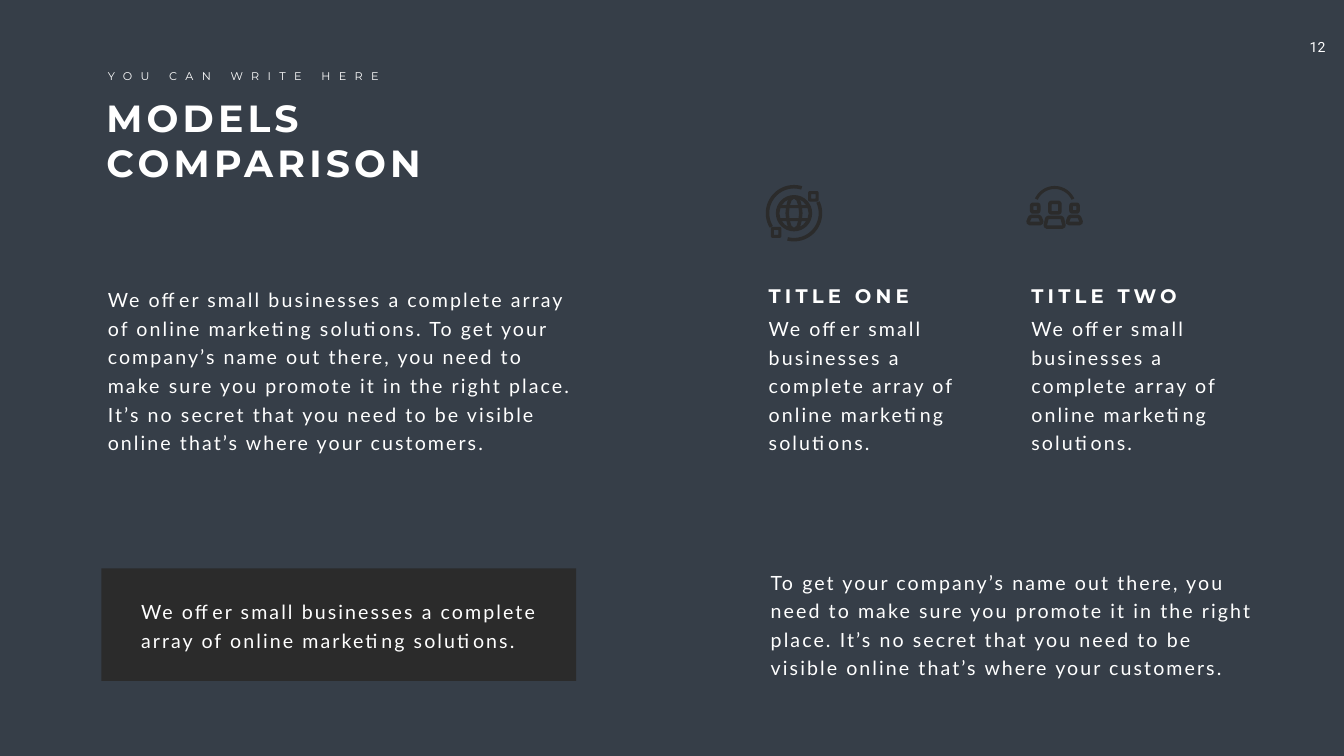
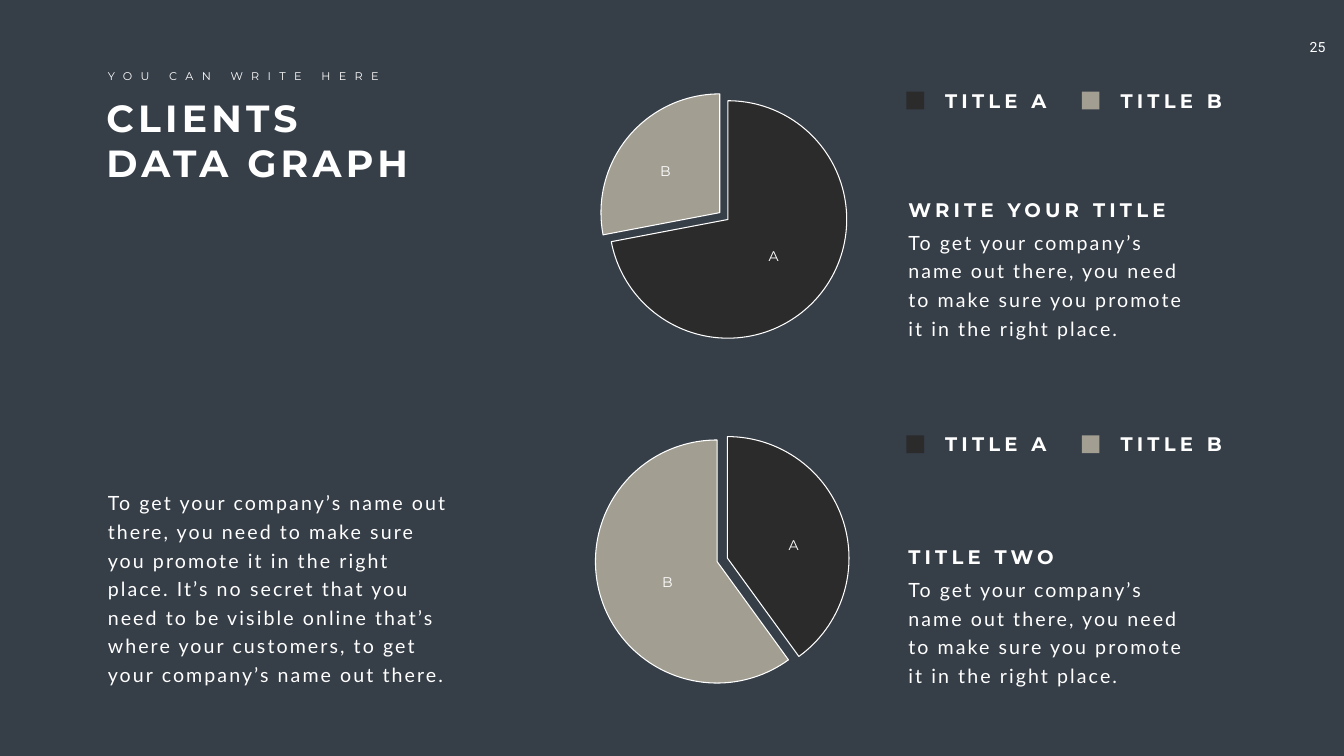
"""Build the models comparison and clients data graph slides."""
import math
from dataclasses import dataclass
from typing import Optional

import pptx
import pptx.chart.data
import pptx.dml.color
import pptx.enum.chart
import pptx.enum.shapes
import pptx.enum.text
import pptx.util

EMU_PER_PX = 9144
COLORS = {"background": "363E48", "dark": "2B2B2B", "sand": "A29F92", "white": "FFFFFF"}
BODY = dict(font="Lato", size=28, spacing=3, line=40.8)
HEADING = dict(font="Montserrat", size=28, spacing=6, bold=True)
TITLE = dict(font="Montserrat", size=54, spacing=6, bold=True)
KICKER = dict(font="Montserrat", size=16, spacing=12, wrap=False)
SLICE_LABEL = dict(font="Montserrat", size=20, spacing=12, wrap=False, centered=True)
PAGE_NUMBER = dict(font="Roboto", size=20, centered=True, margins=(20, 10))

OFFER = "We offer small businesses a complete array of online marketing solutions."
PROMOTE = "To get your company’s name out there, you need to make sure you promote it in the right place."
VISIBLE = "It’s no secret that you need to be visible online that’s where your customers"

Point = tuple[float, float]
Contour = list[Point]


@dataclass(frozen=True)
class Box:
    left: int
    top: int
    width: int
    height: int

    def emu(self) -> list[int]:
        return [px(value) for value in (self.left, self.top, self.width, self.height)]

    def inset(self, margin: int) -> "Box":
        return Box(self.left + margin, self.top + margin,
                   self.width - 2 * margin, self.height - 2 * margin)


@dataclass(frozen=True)
class Column:
    heading: str
    text: str
    left: int
    top: int
    width: int
    text_height: int


@dataclass(frozen=True)
class Pie:
    box: Box
    values: tuple[int, int]
    label_boxes: tuple[Box, Box]
    legend_top: int


@dataclass(frozen=True)
class Body:
    center: int
    top: int
    bottom: int
    half_top: int
    half_bottom: int


def px(value: float) -> int:
    return round(value * EMU_PER_PX)


def rgb(name: str) -> pptx.dml.color.RGBColor:
    return pptx.dml.color.RGBColor.from_string(COLORS[name])


def write_text(shape, text: str, *, font: str, size: int, spacing: int = 0, bold: bool = False,
               line: Optional[float] = None, wrap: bool = True, centered: bool = False,
               margins: tuple[int, int] = (10, 5)) -> None:
    frame = shape.text_frame
    frame.word_wrap = wrap
    frame.auto_size = pptx.enum.text.MSO_AUTO_SIZE.SHAPE_TO_FIT_TEXT
    frame.vertical_anchor = pptx.enum.text.MSO_ANCHOR.TOP
    frame.margin_left = frame.margin_right = px(margins[0])
    frame.margin_top = frame.margin_bottom = px(margins[1])
    paragraph = frame.paragraphs[0]
    alignment = pptx.enum.text.PP_ALIGN
    paragraph.alignment = alignment.CENTER if centered else alignment.LEFT
    paragraph.line_spacing = pptx.util.Pt(line) if line else 1.0
    run = paragraph.add_run()
    run.text = text
    run.font.name = font
    run.font.size = pptx.util.Pt(size)
    run.font.bold = bold
    run.font.color.rgb = rgb("white")
    if spacing:
        run._r.get_or_add_rPr().set("spc", str(spacing * 100))


def add_text(slide, box: Box, text: str, **text_format) -> None:
    write_text(slide.shapes.add_textbox(*box.emu()), text, **text_format)


def paint(shape, color: str) -> None:
    shape.shadow.inherit = False
    shape.fill.solid()
    shape.fill.fore_color.rgb = rgb(color)
    shape.line.fill.background()


def add_rectangle(slide, box: Box, color: str) -> None:
    paint(slide.shapes.add_shape(pptx.enum.shapes.MSO_SHAPE.RECTANGLE, *box.emu()), color)


def add_outline(slide, contours: list[Contour]) -> None:
    scaled = [[(px(x), px(y)) for x, y in contour] for contour in contours]
    builder = slide.shapes.build_freeform(*scaled[0][0], scale=1.0)
    for index, contour in enumerate(scaled):
        if index:
            builder.move_to(*contour[0])
        builder.add_line_segments(contour[1:], close=True)
    paint(builder.convert_to_shape(), "dark")


def arc(center: Point, radius: float, start: float, end: float, steps: int = 32) -> Contour:
    angles = [math.radians(start + (end - start) * step / steps) for step in range(steps + 1)]
    return [(center[0] + radius * math.cos(a), center[1] + radius * math.sin(a)) for a in angles]


def band(center: Point, outer: float, inner: float, start: float, end: float) -> Contour:
    return arc(center, outer, start, end) + arc(center, inner, end, start)


def rounded(box: Box, radius: int) -> Contour:
    left, top = box.left + radius, box.top + radius
    right, bottom = box.left + box.width - radius, box.top + box.height - radius
    corners = [(left, top), (right, top), (right, bottom), (left, bottom)]
    return [point for index, corner in enumerate(corners)
            for point in arc(corner, radius, 180 + 90 * index, 270 + 90 * index, 6)]


def frame_contours(box: Box, radius: int, thickness: int) -> list[Contour]:
    return [rounded(box, radius), rounded(box.inset(thickness), 1)]


def body_contours(body: Body) -> list[Contour]:
    right_side = [(body.half_top - 6, body.top), (body.half_top - 2, body.top + 2),
                  (body.half_top, body.top + 5), (body.half_bottom, body.bottom - 8),
                  (body.half_bottom - 1, body.bottom - 3), (body.half_bottom - 6, body.bottom)]
    opening = [(body.half_top - 7, body.top + 7), (body.half_bottom - 7, body.bottom - 7)]
    return [[(body.center + x, y) for x, y in side] +
            [(body.center - x, y) for x, y in reversed(side)] for side in (right_side, opening)]


def draw_people_icon(slide) -> None:
    heads = [(Box(2079, 398, 27, 28), 7), (Box(2043, 402, 21, 22), 6), (Box(2121, 402, 21, 22), 6)]
    bodies = [Body(2092, 428, 454, 19, 22), Body(2053, 426, 447, 14, 17),
              Body(2131, 426, 447, 14, 17)]
    for (head, radius), body in zip(heads, bodies):
        add_outline(slide, frame_contours(head, radius, 7))
        add_outline(slide, body_contours(body))
    add_outline(slide, [band((2092, 412), 43, 37, 205, 335)])


def draw_globe_icon(slide) -> None:
    center = (1575, 423)
    corner = [(24, -16), (15, -16), (13, -24), (11, -27), (18, -23)]
    side = [(27, -10), (29, 0), (27, 10), (16, 10), (17, 0), (16, -10)]
    pole = [(8, -16), (-8, -16), (-5, -25), (0, -29), (5, -25)]
    middle = [(9, -10), (10, 0), (9, 10), (-9, 10), (-10, 0), (-9, -10)]
    mirrors = [(corner, x, y) for x in (1, -1) for y in (1, -1)]
    mirrors += [(side, 1, 1), (side, -1, 1), (pole, 1, 1), (pole, 1, -1), (middle, 1, 1)]
    openings = [[(center[0] + flip_x * x, center[1] + flip_y * y) for x, y in shape]
                for shape, flip_x, flip_y in mirrors]
    add_outline(slide, [arc(center, 36, 0, 360)] + openings)
    for satellite, start, end in [(Box(1603, 379, 21, 21), -25, 104),
                                  (Box(1529, 450, 21, 22), 149, 287)]:
        add_outline(slide, [band(center, 56, 49, start, end)] + frame_contours(satellite, 4, 6))


def add_base_slide(presentation, title: str, title_width: int, number: str):
    slide = presentation.slides.add_slide(presentation.slide_layouts[5])
    placeholder = slide.shapes.title
    placeholder.left, placeholder.top, placeholder.width, placeholder.height = Box(
        201, 183, title_width, 192).emu()
    write_text(placeholder, title, **TITLE)
    add_text(slide, Box(204, 133, 578, 37), "YOU CAN WRITE HERE", **KICKER)
    add_text(slide, Box(2563, 67, 101, 54), number, **PAGE_NUMBER)
    return slide


def add_column(slide, column: Column) -> None:
    add_text(slide, Box(column.left, column.top, column.width, 57), column.heading, **HEADING)
    add_text(slide, Box(column.left, column.top + 56, column.width, column.text_height),
             column.text, **BODY)


def add_legend(slide, top: int) -> None:
    for index, (text, color) in enumerate([("TITLE A", "dark"), ("TITLE B", "sand")]):
        offset = 348 * index
        add_rectangle(slide, Box(1798 + offset, top + 11, 35, 35), color)
        add_text(slide, Box(1865 + offset, top, 248, 57), text, **HEADING)


def add_pie(slide, pie: Pie) -> None:
    data = pptx.chart.data.CategoryChartData()
    data.categories = ["1", "2"]
    data.add_series("Series 1", pie.values)
    chart = slide.shapes.add_chart(pptx.enum.chart.XL_CHART_TYPE.PIE, *pie.box.emu(), data).chart
    chart.has_legend = False
    chart.has_title = False
    chart.font.name = "Calibri"
    chart.font.size = pptx.util.Pt(10)
    chart.font.color.rgb = rgb("white")
    plot = chart.plots[0]
    plot.vary_by_categories = False
    for index, color in enumerate(("dark", "sand")):
        point = plot.series[0].points[index]
        point.format.fill.solid()
        point.format.fill.fore_color.rgb = rgb(color)
        point.format.line.color.rgb = rgb("white")
        point.format.line.width = pptx.util.Pt(1.5)
    set_pie_geometry(chart)
    for box, label in zip(pie.label_boxes, "AB"):
        add_text(slide, box, label, **SLICE_LABEL)
    add_legend(slide, pie.legend_top)


def set_pie_geometry(chart) -> None:
    second_point = chart.plots[0].series[0]._element.findall(pptx.oxml.ns.qn("c:dPt"))[1]
    explosion = pptx.oxml.parse_xml(
        f'<c:explosion {pptx.oxml.ns.nsdecls("c")} val="9"/>')
    second_point.find(pptx.oxml.ns.qn("c:spPr")).addprevious(explosion)
    area = chart._chartSpace.chart.plotArea
    for old_layout in area.findall(pptx.oxml.ns.qn("c:layout")):
        area.remove(old_layout)
    sizes = "".join(f'<c:{key} val="{value}"/>' for key, value in
                    [("x", 0.19), ("y", 0.03), ("w", 0.62), ("h", 0.94)])
    area.insert(0, pptx.oxml.parse_xml(
        f'<c:layout {pptx.oxml.ns.nsdecls("c")}><c:manualLayout><c:layoutTarget val="inner"/>'
        f'<c:xMode val="edge"/><c:yMode val="edge"/>{sizes}</c:manualLayout></c:layout>'))


def build_models_slide(presentation) -> None:
    slide = add_base_slide(presentation, "MODELS COMPARISON", 950, "12")
    add_rectangle(slide, Box(201, 1128, 942, 223), "dark")
    add_text(slide, Box(270, 1176, 822, 119), OFFER, **BODY)
    add_text(slide, Box(204, 557, 950, 349), f"{OFFER} {PROMOTE} {VISIBLE}.", **BODY)
    for heading, left in [("TITLE ONE", 1515), ("TITLE TWO", 2036)]:
        add_column(slide, Column(heading, OFFER, left, 558, 429, 292))
    draw_people_icon(slide)
    draw_globe_icon(slide)
    add_text(slide, Box(1519, 1117, 997, 234), f"{PROMOTE} {VISIBLE}.", **BODY)


def build_clients_slide(presentation) -> None:
    slide = add_base_slide(presentation, "CLIENTS DATA GRAPH", 645, "25")
    closing = "to get your company’s name out there."
    add_text(slide, Box(204, 960, 699, 407), f"{PROMOTE} {VISIBLE}, {closing}", **BODY)
    for pie in [Pie(Box(1064, 182, 760, 507), (72, 28),
                    (Box(1506, 486, 57, 44), Box(1291, 317, 58, 44)), 171),
                Pie(Box(1054, 848, 778, 519), (40, 60),
                    (Box(1546, 1060, 57, 44), Box(1295, 1133, 58, 44)), 853)]:
        add_pie(slide, pie)
    for heading, top in [("WRITE YOUR TITLE", 387), ("TITLE TWO", 1076)]:
        add_column(slide, Column(heading, PROMOTE, 1792, top, 573, 234))


def main() -> None:
    presentation = pptx.Presentation()
    presentation.slide_width, presentation.slide_height = px(2666), px(1500)
    fill = presentation.slide_master.background.fill
    fill.solid()
    fill.fore_color.rgb = rgb("background")
    build_models_slide(presentation)
    build_clients_slide(presentation)
    presentation.save("out.pptx")


if __name__ == "__main__":
    main()
